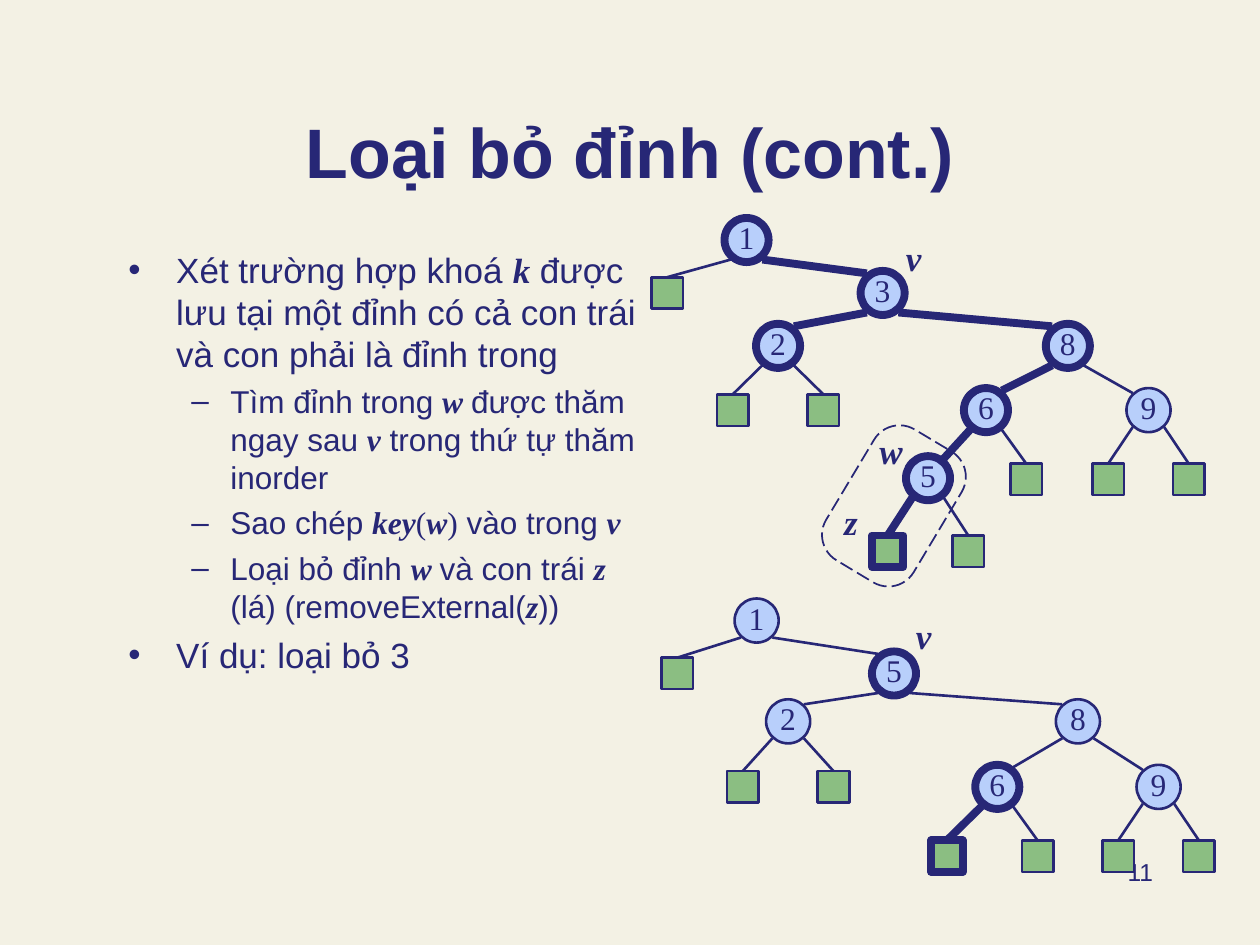
from dataclasses import dataclass
from typing import Optional

from lxml.etree import SubElement
from pptx import Presentation
from pptx.dml.color import RGBColor
from pptx.enum.dml import MSO_LINE
from pptx.enum.shapes import MSO_CONNECTOR, MSO_SHAPE
from pptx.enum.text import MSO_ANCHOR, MSO_AUTO_SIZE, PP_ALIGN
from pptx.oxml.ns import qn
from pptx.util import Inches, Pt

CREAM = RGBColor(0xF3, 0xF1, 0xE4)
NAVY = RGBColor(0x27, 0x27, 0x76)
SKY = RGBColor(0xB8, 0xCF, 0xFB)
GREEN = RGBColor(0x8B, 0xBE, 0x82)
SANS, SERIF = "Arial", "Times New Roman"

PLAIN = {}
SYMBOL = {"font": SERIF}
VARIABLE = {"font": SERIF, "bold": True, "italic": True}

KEY_SIZE, LEAF_SIZE = 0.35, 0.25
THIN, THICK = 1.5, 4.5


@dataclass
class Node:
    x: float
    y: float
    key: str = ""
    left: Optional["Node"] = None
    right: Optional["Node"] = None
    bold: bool = False

    @property
    def weight(self):
        return THICK if self.bold else THIN

    def corner(self, side, end):
        center = KEY_SIZE / 2
        reach = 0.155 if self.bold else 0.135
        return self.x + center + side * 0.125, self.y + center + end * reach


def add_run(paragraph, text, font=SANS, size=20, bold=False, italic=False):
    run = paragraph.add_run()
    run.text = text
    run.font.name = font
    run.font.size = Pt(size)
    run.font.bold = bold
    run.font.italic = italic
    run.font.color.rgb = NAVY


class TreeSlide:
    def __init__(self, presentation):
        self.slide = presentation.slides.add_slide(presentation.slide_layouts[5])
        self.slide.background.fill.solid()
        self.slide.background.fill.fore_color.rgb = CREAM
        self.shapes = self.slide.shapes

    def title(self, text, *box):
        title = self.shapes.title
        title.left, title.top, title.width, title.height = map(Inches, box)
        frame = title.text_frame
        frame.auto_size = MSO_AUTO_SIZE.NONE
        frame.vertical_anchor = MSO_ANCHOR.BOTTOM
        frame.paragraphs[0].alignment = PP_ALIGN.CENTER
        add_run(frame.paragraphs[0], text, size=40, bold=True)

    def text(self, text, *box, wrap=True, align=PP_ALIGN.LEFT, **style):
        frame = self.shapes.add_textbox(*map(Inches, box)).text_frame
        frame.word_wrap = wrap
        frame.paragraphs[0].alignment = align
        add_run(frame.paragraphs[0], text, **style)

    def outline(self, items, *box):
        frame = self.shapes.add_textbox(*map(Inches, box)).text_frame
        frame.word_wrap = True
        for index, (level, runs) in enumerate(items):
            paragraph = frame.add_paragraph() if index else frame.paragraphs[0]
            size, before, mark, margin, hang = (
                (18, 4.5, "–", 0.81, 0.31) if level else (20, 5, "•", 0.38, 0.38)
            )
            paragraph.level = level
            properties = paragraph._p.get_or_add_pPr()
            properties.set("marL", str(Inches(margin)))
            properties.set("indent", str(-Inches(hang)))
            SubElement(properties, qn("a:buFont"), typeface=SANS)
            SubElement(properties, qn("a:buChar"), char=mark)
            paragraph.space_before = Pt(before if index else 0)
            for text, style in runs:
                add_run(paragraph, text, size=size, **style)

    def node(self, node):
        size = KEY_SIZE if node.key else LEAF_SIZE
        preset = MSO_SHAPE.OVAL if node.key else MSO_SHAPE.RECTANGLE
        shape = self.shapes.add_shape(
            preset, Inches(node.x), Inches(node.y), Inches(size), Inches(size)
        )
        shape.shadow.inherit = False
        shape.fill.solid()
        shape.fill.fore_color.rgb = SKY if node.key else GREEN
        shape.line.color.rgb = NAVY
        shape.line.width = Pt(node.weight)
        if node.key:
            frame = shape.text_frame
            frame.word_wrap = False
            frame.margin_left = frame.margin_right = frame.margin_top = 0
            frame.margin_bottom = Inches(0.05)
            frame.vertical_anchor = MSO_ANCHOR.MIDDLE
            frame.paragraphs[0].alignment = PP_ALIGN.CENTER
            add_run(frame.paragraphs[0], node.key, font=SERIF, size=18)
        return shape

    def edge(self, parent, child, child_shape, side):
        start = parent.corner(side, 1)
        end = child.corner(-side, -1) if child.key else (child.x, child.y)
        line = self.shapes.add_connector(
            MSO_CONNECTOR.STRAIGHT, *map(Inches, (*start, *end))
        )
        if not child.key:
            line.end_connect(child_shape, 0)
        line.line.color.rgb = NAVY
        line.line.width = Pt(min(parent.weight, child.weight))
        SubElement(line._element.spPr, qn("a:effectLst"))

    def tree(self, node):
        shape = self.node(node)
        for side, child in ((-1, node.left), (1, node.right)):
            if child:
                self.edge(node, child, self.tree(child), side)
        return shape

    def dashed_group(self, *box, rotation, rounding):
        group = self.shapes.add_shape(MSO_SHAPE.ROUNDED_RECTANGLE, *map(Inches, box))
        group.shadow.inherit = False
        group.adjustments[0] = rounding
        group.rotation = rotation
        group.fill.background()
        group.line.color.rgb = NAVY
        group.line.width = Pt(1)
        group.line.dash_style = MSO_LINE.LONG_DASH


OUTLINE = [
    (0, [("Xét trường hợp khoá ", PLAIN), ("k", VARIABLE),
         (" được lưu tại một đỉnh có cả con trái và con phải là đỉnh trong", PLAIN)]),
    (1, [("Tìm đỉnh trong ", PLAIN), ("w ", VARIABLE), ("được thăm ngay sau ", PLAIN),
         ("v", VARIABLE), (" trong thứ tự thăm inorder", PLAIN)]),
    (1, [("Sao chép ", PLAIN), ("key", VARIABLE), ("(", SYMBOL), ("w", VARIABLE),
         (")", SYMBOL), (" vào trong ", PLAIN), ("v", VARIABLE)]),
    (1, [("Loại bỏ đỉnh ", PLAIN), ("w ", VARIABLE), ("và con trái ", PLAIN),
         ("z ", VARIABLE), ("(lá) (removeExternal(", PLAIN), ("z", VARIABLE),
         ("))", PLAIN)]),
    (0, [("Ví dụ: loại bỏ 3", PLAIN)]),
]

BEFORE_TWO = Node(6, 2.57, "2", Node(5.69, 3.13), Node(6.41, 3.13), bold=True)
BEFORE_FIVE = Node(7.19, 3.62, "5", Node(6.92, 4.25, bold=True),
                   Node(7.56, 4.25), bold=True)
BEFORE_SIX = Node(7.65, 3.08, "6", BEFORE_FIVE, Node(8.02, 3.68), bold=True)
BEFORE_NINE = Node(8.94, 3.08, "9", Node(8.67, 3.68), Node(9.31, 3.68))
BEFORE_EIGHT = Node(8.3, 2.57, "8", BEFORE_SIX, BEFORE_NINE, bold=True)
BEFORE_THREE = Node(6.83, 2.15, "3", BEFORE_TWO, BEFORE_EIGHT, bold=True)
BEFORE = Node(5.75, 1.73, "1", Node(5.17, 2.2), BEFORE_THREE, bold=True)

AFTER_TWO = Node(6.08, 5.55, "2", Node(5.77, 6.12), Node(6.49, 6.12))
AFTER_SIX = Node(7.74, 6.07, "6", Node(7.39, 6.67, bold=True),
                 Node(8.11, 6.67), bold=True)
AFTER_NINE = Node(9.02, 6.07, "9", Node(8.75, 6.67), Node(9.39, 6.67))
AFTER_EIGHT = Node(8.38, 5.55, "8", AFTER_SIX, AFTER_NINE)
AFTER_FIVE = Node(6.92, 5.17, "5", AFTER_TWO, AFTER_EIGHT, bold=True)
AFTER = Node(5.83, 4.75, "1", Node(5.25, 5.22), AFTER_FIVE)

LABELS = [("v", 7.09, 1.83, 0.32), ("w", 6.88, 3.36, 0.38),
          ("z", 6.6, 3.92, 0.31), ("v", 7.17, 4.83, 0.32)]


def main():
    presentation = Presentation()
    presentation.slide_width = Inches(10)
    presentation.slide_height = Inches(7.5)
    page = TreeSlide(presentation)
    page.text("11", 7.17, 6.75, 2.08, 0.5, align=PP_ALIGN.RIGHT, size=14)
    page.title("Loại bỏ đỉnh (cont.)", 0.75, 0.5, 8.5, 1.08)
    page.outline(OUTLINE, 0.92, 1.92, 4.25, 4.5)
    page.tree(BEFORE)
    page.tree(AFTER)
    for name, left, top, width in LABELS:
        page.text(name, left, top, width, 0.44, wrap=False, **VARIABLE)
    page.dashed_group(6.49, 3.61, 1.21, 0.81, rotation=300.9, rounding=0.29)
    presentation.save("out.pptx")


if __name__ == "__main__":
    main()
